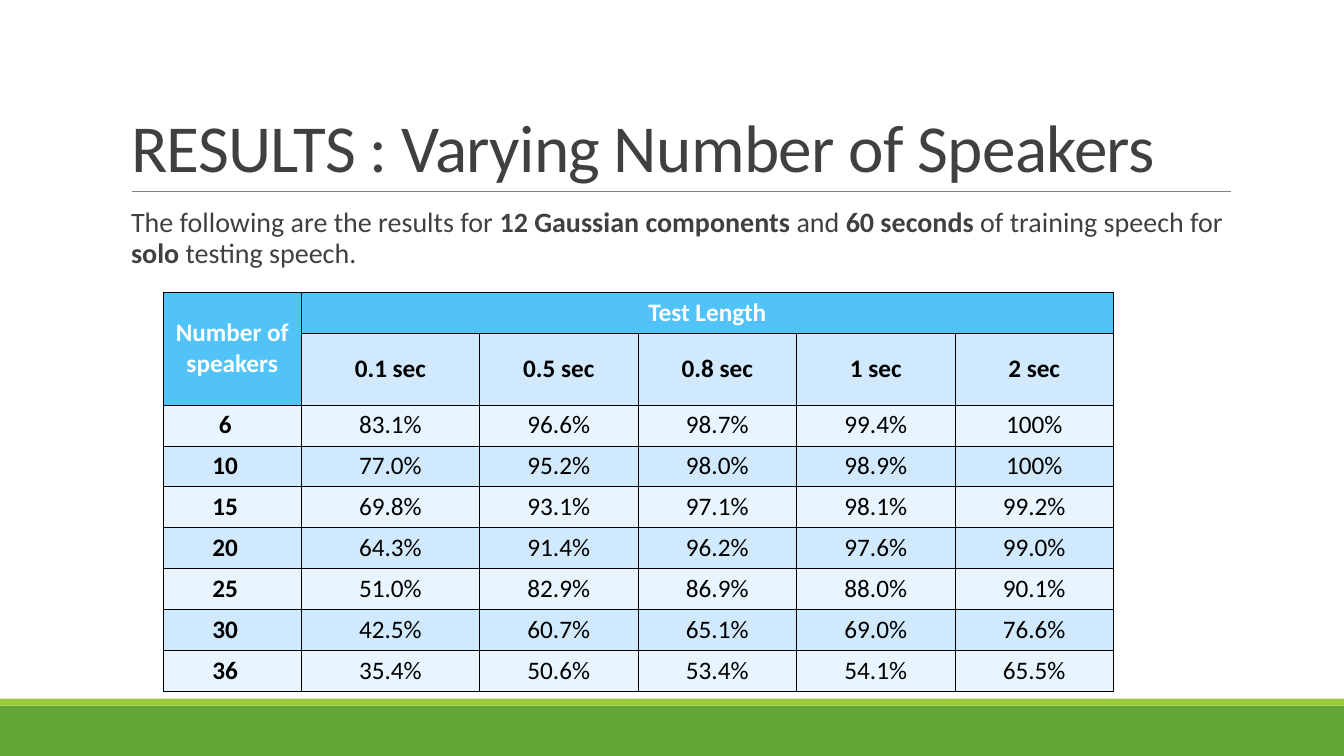
"""Build the slide of recognition results for a varying number of speakers."""
from lxml import etree
from pptx import Presentation
from pptx.dml.color import RGBColor
from pptx.enum import shapes, text
from pptx.oxml import ns
from pptx.util import Pt

TITLE = "RESULTS : Varying Number of Speakers"
INTRO = [
    ("The following are the results for ", False),
    ("12 Gaussian components ", True),
    ("and ", False),
    ("60 seconds ", True),
    ("of training speech for ", False),
    ("solo", True),
    (" testing speech.", False),
]
ROWS = [
    ["Number of speakers", "Test Length", "", "", "", ""],
    ["", "0.1 sec", "0.5 sec", "0.8 sec", "1 sec", "2 sec"],
    ["6", "83.1%", "96.6%", "98.7%", "99.4%", "100%"],
    ["10", "77.0%", "95.2%", "98.0%", "98.9%", "100%"],
    ["15", "69.8%", "93.1%", "97.1%", "98.1%", "99.2%"],
    ["20", "64.3%", "91.4%", "96.2%", "97.6%", "99.0%"],
    ["25", "51.0%", "82.9%", "86.9%", "88.0%", "90.1%"],
    ["30", "42.5%", "60.7%", "65.1%", "69.0%", "76.6%"],
    ["36", "35.4%", "50.6%", "53.4%", "54.1%", "65.5%"],
]
COLUMN_WIDTHS = [98.6, 127.4] + [113.2] * 4
ROW_HEIGHTS = [29.2, 28, 28] + [29.2] * 6

GREEN = RGBColor(0x63, 0xA5, 0x37)
LIME = RGBColor(0x99, 0xCB, 0x38)
GRAY = RGBColor(0x80, 0x80, 0x80)
DARK = RGBColor(0x40, 0x40, 0x40)
BLACK = RGBColor(0, 0, 0)
WHITE = RGBColor(0xFF, 0xFF, 0xFF)
HEADER_BLUE = RGBColor(0x51, 0xC3, 0xF9)
BAND_BLUE = RGBColor(0xD0, 0xE9, 0xFD)
PALE_BLUE = RGBColor(0xE9, 0xF5, 0xFE)


def add_text(paragraph, words, size=18, color=BLACK, bold=False):
    run = paragraph.add_run()
    run.text = words
    run.font.name = "Calibri"
    run.font.size = Pt(size)
    run.font.color.rgb = color
    run.font.bold = bold
    return run


def place(shape, left, top, width, height):
    shape.left, shape.top = Pt(left), Pt(top)
    shape.width, shape.height = Pt(width), Pt(height)


def add_bar(slide, top, height, color):
    bar = slide.shapes.add_shape(
        shapes.MSO_SHAPE.RECTANGLE, Pt(0), Pt(top), Pt(960), Pt(height))
    bar.shadow.inherit = False
    bar.fill.solid()
    bar.fill.fore_color.rgb = color
    bar.line.fill.background()


def add_rule(slide):
    rule = slide.shapes.add_connector(
        shapes.MSO_CONNECTOR.STRAIGHT, Pt(94.3), Pt(136.8), Pt(879.1), Pt(136.8))
    rule.line.color.rgb = GRAY
    rule.line.width = Pt(0.5)
    etree.SubElement(rule._element.spPr, ns.qn("a:effectLst"))


def fill_title(title):
    place(title, 86.4, 22.3, 792, 114.5)
    frame = title.text_frame
    frame.auto_size = text.MSO_AUTO_SIZE.NONE
    frame.vertical_anchor = text.MSO_ANCHOR.BOTTOM
    paragraph = frame.paragraphs[0]
    paragraph.alignment = text.PP_ALIGN.LEFT
    paragraph.line_spacing = 0.85
    run = add_text(paragraph, TITLE, size=48, color=DARK)
    run.font._element.set("spc", "-50")


def fill_intro(body):
    place(body, 86.4, 145.4, 792, 316.8)
    frame = body.text_frame
    frame.auto_size = text.MSO_AUTO_SIZE.NONE
    frame.margin_left = frame.margin_right = 0
    paragraph = frame.paragraphs[0]
    paragraph.line_spacing = 0.9
    paragraph.space_before, paragraph.space_after = Pt(12), Pt(2)
    properties = paragraph._p.get_or_add_pPr()
    properties.set("marL", str(Pt(7.2)))
    properties.set("indent", str(Pt(-7.2)))
    bullet_color = etree.SubElement(properties, ns.qn("a:buClr"))
    etree.SubElement(bullet_color, ns.qn("a:srgbClr"), val=str(LIME))
    etree.SubElement(properties, ns.qn("a:buChar"), char=" ")
    for words, bold in INTRO:
        add_text(paragraph, words, size=20, color=DARK, bold=bold)


def add_borders(cell):
    properties = cell._tc.get_or_add_tcPr()
    for side in ("lnL", "lnR", "lnT", "lnB"):
        line = etree.SubElement(properties, ns.qn(f"a:{side}"), w=str(Pt(0.25)))
        fill = etree.SubElement(line, ns.qn("a:solidFill"))
        etree.SubElement(fill, ns.qn("a:srgbClr"), val=str(BLACK))


def fill_cell(cell, words, row, column):
    is_header = row == 0 or (row == 1 and column == 0)
    add_borders(cell)
    cell.fill.solid()
    cell.fill.fore_color.rgb = (
        HEADER_BLUE if is_header else BAND_BLUE if row % 2 else PALE_BLUE)
    cell.vertical_anchor = text.MSO_ANCHOR.MIDDLE
    if row > 1 and column == 0:
        cell.margin_right = Pt(17.2)
    if words:
        paragraph = cell.text_frame.paragraphs[0]
        paragraph.alignment = text.PP_ALIGN.CENTER
        add_text(paragraph, words, color=WHITE if is_header else BLACK,
                 bold=row < 2 or column == 0)


def add_results(slide):
    table = slide.shapes.add_table(
        len(ROWS), len(COLUMN_WIDTHS), Pt(116.6), Pt(208.8),
        Pt(sum(COLUMN_WIDTHS)), Pt(sum(ROW_HEIGHTS))).table
    for column, width in zip(table.columns, COLUMN_WIDTHS):
        column.width = Pt(width)
    for row, height in zip(table.rows, ROW_HEIGHTS):
        row.height = Pt(height)
    table.cell(0, 0).merge(table.cell(1, 0))
    table.cell(0, 1).merge(table.cell(0, 5))
    for row, values in enumerate(ROWS):
        for column, words in enumerate(values):
            fill_cell(table.cell(row, column), words, row, column)


def main():
    presentation = Presentation()
    presentation.slide_width, presentation.slide_height = Pt(960), Pt(540)
    slide = presentation.slides.add_slide(presentation.slide_layouts[1])
    add_bar(slide, 504, 36, GREEN)
    add_bar(slide, 499, 5, LIME)
    add_rule(slide)
    fill_title(slide.shapes.title)
    fill_intro(slide.placeholders[1])
    add_results(slide)
    presentation.save("out.pptx")


if __name__ == "__main__":
    main()
